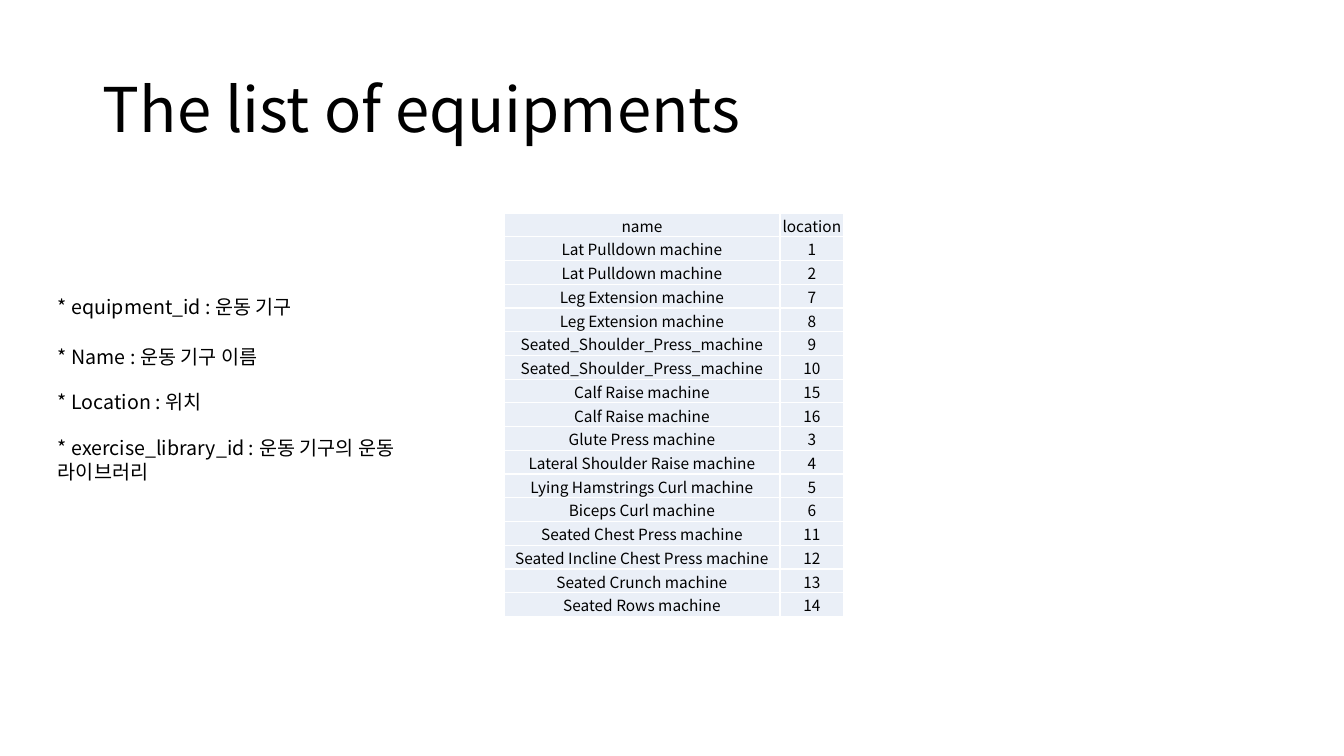
from dataclasses import dataclass

from lxml.etree import SubElement
from pptx import Presentation
from pptx.dml.color import RGBColor
from pptx.enum.text import MSO_ANCHOR, PP_ALIGN
from pptx.oxml.ns import qn
from pptx.util import Emu, Pt

SLIDE_SIZE = (1344, 756)
TITLE = ("The list of equipments", (93, 40, 1159, 146))
FIELD_NOTES = [
    ("* equipment_id : 운동 기구", (48, 290, 426, 34)),
    ("* Name : 운동 기구 이름", (48, 340, 306, 34)),
    ("* Location : 위치", (48, 385, 223, 34)),
    ("* exercise_library_id : 운동 기구의 운동 라이브러리", (48, 431, 426, 57)),
]
EQUIPMENT = [
    ("name", "location"),
    ("Lat Pulldown machine", "1"),
    ("Lat Pulldown machine", "2"),
    ("Leg Extension machine", "7"),
    ("Leg Extension machine", "8"),
    ("Seated_Shoulder_Press_machine", "9"),
    ("Seated_Shoulder_Press_machine", "10"),
    ("Calf Raise machine", "15"),
    ("Calf Raise machine", "16"),
    ("Glute Press machine", "3"),
    ("Lateral Shoulder Raise machine", "4"),
    ("Lying Hamstrings Curl machine", "5"),
    ("Biceps Curl machine", "6"),
    ("Seated Chest Press machine", "11"),
    ("Seated Incline Chest Press machine", "12"),
    ("Seated Crunch machine", "13"),
    ("Seated Rows machine", "14"),
]
TABLE_ORIGIN = (504, 213)
TABLE_HEIGHT = 404
COLUMN_WIDTHS = (276, 64)


@dataclass(frozen=True)
class Theme:
    font: str = "Noto Sans CJK KR"
    text: str = "000000"
    cell: str = "EAEFF7"
    border: str = "FFFFFF"
    title_size: int = 44
    note_size: int = 14
    table_size: int = 11
    border_width: int = 1


THEME = Theme()


def px(length):
    return Emu(round(length * 914400 / 100.8))


def add_run(paragraph, text, size):
    run = paragraph.add_run()
    run.text = text
    run.font.size = Pt(size)
    run.font.name = THEME.font
    run.font.color.rgb = RGBColor.from_string(THEME.text)
    SubElement(run.font._element, qn("a:ea"), typeface=THEME.font)


def add_text(slide, text, box, size, anchor=MSO_ANCHOR.TOP, line_spacing=None):
    shape = slide.shapes.add_textbox(*map(px, box))
    frame = shape.text_frame
    frame.word_wrap = True
    frame.vertical_anchor = anchor
    paragraph = frame.paragraphs[0]
    paragraph.line_spacing = line_spacing
    add_run(paragraph, text, size)


def add_borders(cell):
    properties = cell._tc.get_or_add_tcPr()
    for position, side in enumerate(("lnL", "lnR", "lnT", "lnB")):
        line = SubElement(properties, qn(f"a:{side}"), w=str(Pt(THEME.border_width)))
        fill = SubElement(line, qn("a:solidFill"))
        SubElement(fill, qn("a:srgbClr"), val=THEME.border)
        properties.insert(position, line)


def fill_cell(cell, text):
    cell.fill.solid()
    cell.fill.fore_color.rgb = RGBColor.from_string(THEME.cell)
    cell.vertical_anchor = MSO_ANCHOR.MIDDLE
    cell.margin_left = cell.margin_right = cell.margin_top = px(1)
    cell.margin_bottom = px(0)
    paragraph = cell.text_frame.paragraphs[0]
    paragraph.alignment = PP_ALIGN.CENTER
    add_run(paragraph, text, THEME.table_size)
    add_borders(cell)


def add_equipment_table(slide):
    box = (*TABLE_ORIGIN, sum(COLUMN_WIDTHS), TABLE_HEIGHT)
    table = slide.shapes.add_table(
        len(EQUIPMENT), len(COLUMN_WIDTHS), *map(px, box)
    ).table
    table.first_row = False
    table.horz_banding = False
    for column, width in zip(table.columns, COLUMN_WIDTHS):
        column.width = px(width)
    for row, values in zip(table.rows, EQUIPMENT):
        row.height = px(TABLE_HEIGHT / len(EQUIPMENT))
        for cell, value in zip(row.cells, values):
            fill_cell(cell, value)


def main():
    presentation = Presentation()
    presentation.slide_width, presentation.slide_height = map(px, SLIDE_SIZE)
    slide = presentation.slides.add_slide(presentation.slide_layouts[6])
    add_text(slide, *TITLE, THEME.title_size, MSO_ANCHOR.MIDDLE, 0.9)
    for text, box in FIELD_NOTES:
        add_text(slide, text, box, THEME.note_size)
    add_equipment_table(slide)
    presentation.save("out.pptx")


if __name__ == "__main__":
    main()
